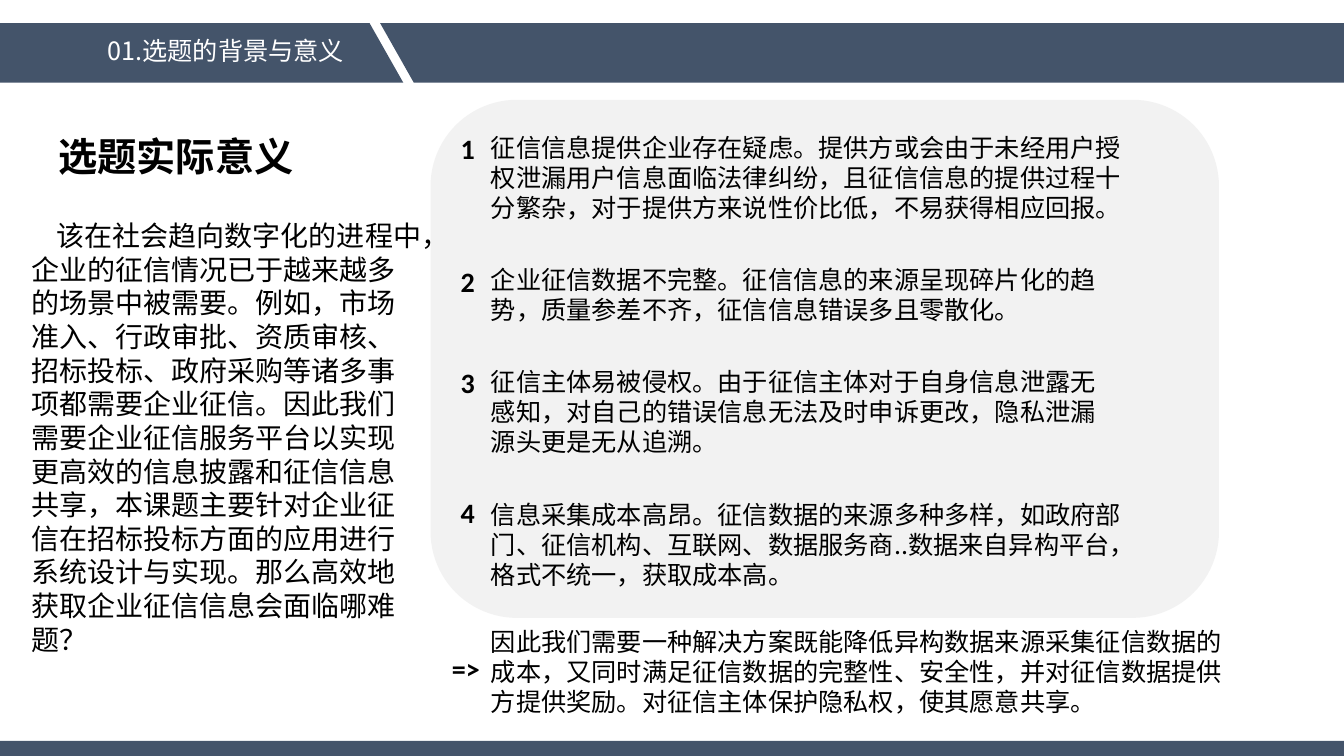
"""Build the slide on the practical significance of the chosen topic."""
from dataclasses import dataclass

import lxml.etree
import pptx
import pptx.dml.color
import pptx.enum.shapes
import pptx.enum.text
import pptx.oxml.ns
import pptx.util

Inches = pptx.util.Inches
Shape = pptx.enum.shapes.MSO_SHAPE
Align = pptx.enum.text.PP_ALIGN
AutoSize = pptx.enum.text.MSO_AUTO_SIZE

NAVY = pptx.dml.color.RGBColor(0x44, 0x54, 0x6A)
PALE = pptx.dml.color.RGBColor(0xF2, 0xF2, 0xF2)
BLACK = pptx.dml.color.RGBColor(0, 0, 0)
WHITE = pptx.dml.color.RGBColor(0xFF, 0xFF, 0xFF)
CJK_FONT = "Noto Sans CJK SC"

SLIDE_WIDTH, SLIDE_HEIGHT = 13.33, 7.5
FOOTER_HEIGHT = 0.15
POINT_LEFT = 4.77
MARKER_CENTER = 4.62


@dataclass(frozen=True)
class Box:
    left: float
    top: float
    width: float
    height: float

    def lengths(self) -> tuple:
        return tuple(Inches(v) for v in (self.left, self.top, self.width, self.height))


@dataclass(frozen=True)
class Style:
    size: int
    font: str = CJK_FONT
    color: pptx.dml.color.RGBColor = BLACK
    bold: bool = False
    align: Align = Align.LEFT


@dataclass(frozen=True)
class Band:
    preset: Shape
    box: Box
    color: pptx.dml.color.RGBColor


@dataclass(frozen=True)
class Point:
    marker: str
    marker_top: float
    top: float
    width: float
    height: float
    lines: tuple[str, ...]
    marker_width: float = 0.3


HEADER = Style(18, color=WHITE, align=Align.CENTER)
TITLE = Style(28, "Arial", bold=True)
BACKGROUND = Style(20)
POINT = Style(18)
MARKER = Style(20, "Calibri", bold=True, align=Align.CENTER)

BANDS = (
    Band(Shape.ROUNDED_RECTANGLE, Box(4.27, 0.99, 7.82, 5.14), PALE),
    Band(Shape.PARALLELOGRAM, Box(-0.5, 0.23, 4.5, 0.59), NAVY),
    Band(Shape.PARALLELOGRAM, Box(3.77, 0.23, 10.08, 0.59), NAVY),
    Band(Shape.RECTANGLE,
         Box(0, SLIDE_HEIGHT - FOOTER_HEIGHT, SLIDE_WIDTH, FOOTER_HEIGHT), NAVY),
)

BACKGROUND_TEXT = (
    "该在社会趋向数字化的进程中，企业的征信情况已于越来越多的场景中被需要。"
    "例如，市场准入、行政审批、资质审核、招标投标、政府采购等诸多事项都需要企业征信。"
    "因此我们需要企业征信服务平台以实现更高效的信息披露和征信信息共享，"
    "本课题主要针对企业征信在招标投标方面的应用进行系统设计与实现。"
    "那么高效地获取企业征信信息会面临哪难题？"
)

POINTS = (
    Point("1", 1.26, 1.26, 6.59, 1.31, (
        "征信信息提供企业存在疑虑。提供方或会由于未经用户授权泄漏用户信息面临法律纠纷，"
        "且征信信息的提供过程十分繁杂，对于提供方来说性价比低，不易获得相应回报。",)),
    Point("2", 2.57, 2.57, 6.2, 0.71, (
        "企业征信数据不完整。征信信息的来源呈现碎片化的趋",
        "势，质量参差不齐，征信信息错误多且零散化。")),
    Point("3", 3.58, 3.58, 6.2, 1.01, (
        "征信主体易被侵权。由于征信主体对于自身信息泄露无",
        "感知，对自己的错误信息无法及时申诉更改，隐私泄漏",
        "源头更是无从追溯。")),
    Point("4", 4.87, 4.9, 6.7, 1.01, (
        "信息采集成本高昂。征信数据的来源多种多样，如政府部",
        "门、征信机构、互联网、数据服务商..数据来自异构平台，",
        "格式不统一，获取成本高。")),
    Point("=>", 6.41, 6.16, 7.45, 1.31, (
        "因此我们需要一种解决方案既能降低异构数据来源采集征信数据的",
        "成本，又同时满足征信数据的完整性、安全性，并对征信数据提供",
        "方提供奖励。对征信主体保护隐私权，使其愿意共享。"), 0.53),
)


def draw_band(slide, band: Band) -> None:
    shape = slide.shapes.add_shape(band.preset, *band.box.lengths())
    shape.shadow.inherit = False
    shape.fill.solid()
    shape.fill.fore_color.rgb = band.color
    shape.line.fill.background()
    if band.preset == Shape.PARALLELOGRAM:
        shape.adjustments[0] = 0.566
        shape.element.spPr.xfrm.set("flipV", "1")


def write_text(shape, lines: tuple[str, ...], style: Style, wrap: bool) -> None:
    frame = shape.text_frame
    frame.text = "\n".join(lines)
    frame.word_wrap = wrap
    frame.auto_size = AutoSize.SHAPE_TO_FIT_TEXT
    frame.vertical_anchor = pptx.enum.text.MSO_ANCHOR.TOP
    for paragraph in frame.paragraphs:
        paragraph.alignment = style.align
        paragraph.space_before = pptx.util.Pt(0)
        font = paragraph.font
        font.size = pptx.util.Pt(style.size)
        font.bold = style.bold
        font.color.rgb = style.color
        font.name = style.font
        properties = paragraph._p.get_or_add_pPr().find(pptx.oxml.ns.qn("a:defRPr"))
        lxml.etree.SubElement(properties, pptx.oxml.ns.qn("a:ea"), typeface=CJK_FONT)


def add_text(slide, box: Box, lines: tuple[str, ...], style: Style, wrap: bool) -> None:
    write_text(slide.shapes.add_textbox(*box.lengths()), lines, style, wrap)


def fill_placeholder(slide, placeholder, box: Box, text: str, style: Style, wrap: bool) -> None:
    slide.shapes.element.append(placeholder.element)
    placeholder.left, placeholder.top, placeholder.width, placeholder.height = box.lengths()
    write_text(placeholder, (text,), style, wrap)


def indent_first_line(paragraph, indent: float) -> None:
    properties = paragraph._p.get_or_add_pPr()
    properties.set("marL", "0")
    properties.set("indent", str(Inches(indent)))
    no_bullet = lxml.etree.Element(pptx.oxml.ns.qn("a:buNone"))
    properties.find(pptx.oxml.ns.qn("a:defRPr")).addprevious(no_bullet)


def draw_point(slide, point: Point) -> None:
    add_text(slide, Box(POINT_LEFT, point.top, point.width, point.height),
             point.lines, POINT, len(point.lines) == 1)
    marker_left = MARKER_CENTER - point.marker_width / 2
    add_text(slide, Box(marker_left, point.marker_top, point.marker_width, 0.44),
             (point.marker,), MARKER, False)


def main() -> None:
    deck = pptx.Presentation()
    deck.slide_width, deck.slide_height = Inches(SLIDE_WIDTH), Inches(SLIDE_HEIGHT)
    slide = deck.slides.add_slide(deck.slide_layouts[1])
    title, background = slide.shapes.title, slide.placeholders[1]

    for band in BANDS:
        draw_band(slide, band)
    add_text(slide, Box(-0.47, 0.3, 5.42, 0.4), ("01.选题的背景与意义",), HEADER, True)
    fill_placeholder(slide, title, Box(0.48, 1.26, 2.54, 0.57), "选题实际意义", TITLE, False)
    fill_placeholder(slide, background, Box(0.21, 2.12, 4.07, 4.88),
                     BACKGROUND_TEXT, BACKGROUND, True)
    indent_first_line(background.text_frame.paragraphs[0], 0.25)
    for point in POINTS:
        draw_point(slide, point)

    deck.save("out.pptx")


if __name__ == "__main__":
    main()
